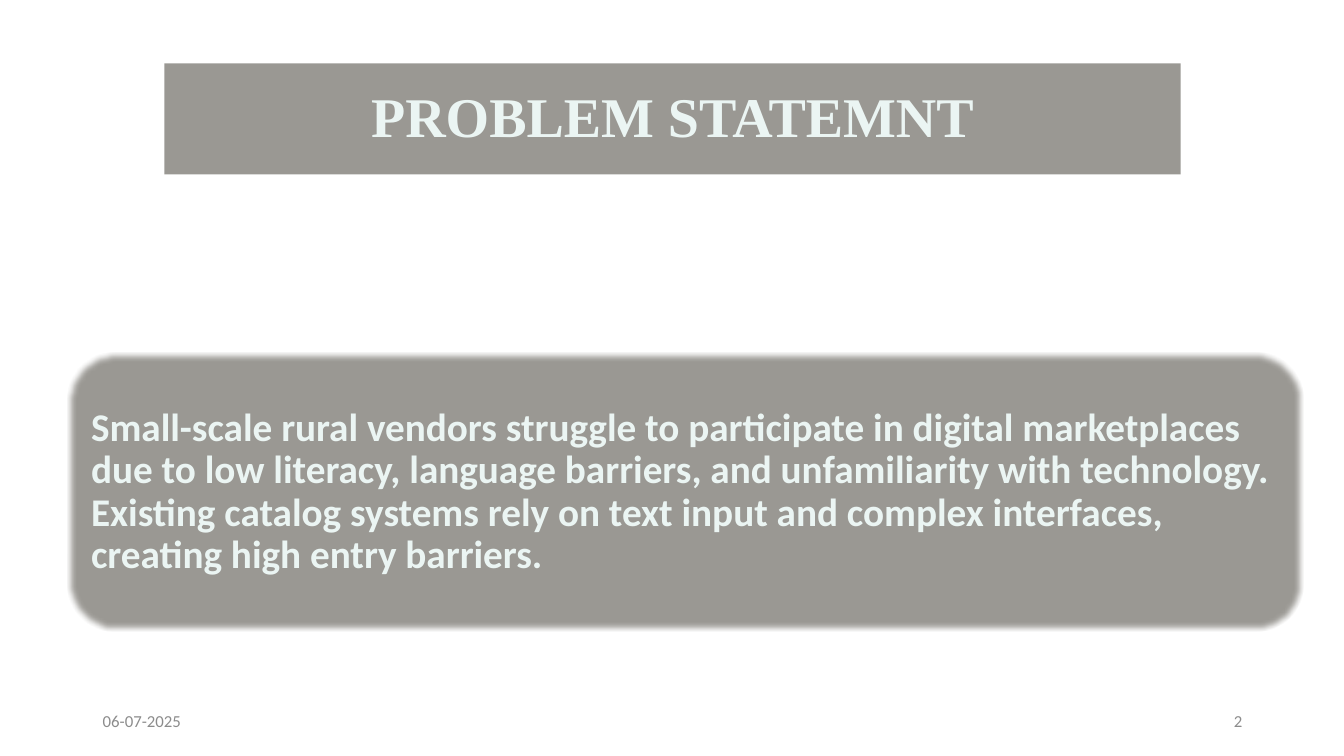
import pptx
import pptx.dml.color
import pptx.enum.shapes
import pptx.enum.text
import pptx.oxml.ns
import pptx.util
from lxml import etree

Inches = pptx.util.Inches
Pt = pptx.util.Pt
RGBColor = pptx.dml.color.RGBColor
MSO_SHAPE = pptx.enum.shapes.MSO_SHAPE
PP_ALIGN = pptx.enum.text.PP_ALIGN
qn = pptx.oxml.ns.qn

PANEL = RGBColor(0x37, 0x33, 0x29)
PALE = RGBColor(0xEB, 0xF5, 0xF3)
GREY = RGBColor(0x8C, 0x8C, 0x8C)


class SlideBuilder:
    """Holds the style and the current slide."""

    body_font = "Calibri"
    title_font = "Times New Roman"
    panel_alpha = "50000"

    def __init__(self, slide):
        self.slide = slide

    def set_text(self, shape, text, size, font, color, align, bold=False):
        frame = shape.text_frame
        frame.word_wrap = True
        frame.vertical_anchor = pptx.enum.text.MSO_ANCHOR.MIDDLE
        paragraph = frame.paragraphs[0]
        paragraph.text = text
        paragraph.alignment = align
        paragraph.font.size = Pt(size)
        paragraph.font.name = font
        paragraph.font.bold = bold
        paragraph.font.color.rgb = color
        return paragraph

    def footer(self, left, text, align):
        box = self.slide.shapes.add_textbox(
            Inches(left), Inches(6.95), Inches(3), Inches(0.4))
        self.set_text(box, text, 12, self.body_font, GREY, align)

    def panel(self, kind, box, text, size, font, align):
        shape = self.slide.shapes.add_shape(kind, *map(Inches, box))
        shape.shadow.inherit = False
        shape.line.fill.background()
        shape.fill.solid()
        shape.fill.fore_color.rgb = PANEL
        # Half-transparent fill
        color = shape._element.spPr.find(qn("a:solidFill")).find(qn("a:srgbClr"))
        etree.SubElement(color, qn("a:alpha"), val=self.panel_alpha)
        paragraph = self.set_text(shape, text, size, font, PALE, align, bold=True)
        paragraph.line_spacing = 0.9
        return shape

    def soften(self, shape, radius):
        effects = shape._element.spPr.find(qn("a:effectLst"))
        etree.SubElement(effects, qn("a:softEdge"), rad=str(int(radius)))


def main():
    deck = pptx.Presentation()
    deck.slide_width = Inches(13.33)
    deck.slide_height = Inches(7.5)
    builder = SlideBuilder(deck.slides.add_slide(deck.slide_layouts[6]))

    # Footer: date and slide number
    builder.footer(0.92, "06-07-2025", PP_ALIGN.LEFT)
    builder.footer(9.42, "2", PP_ALIGN.RIGHT)

    # Problem description
    problem = builder.panel(
        MSO_SHAPE.ROUNDED_RECTANGLE, (0.67, 3.5, 12.26, 2.77),
        "Small-scale rural vendors struggle to participate in digital "
        "marketplaces due to low literacy, language barriers, and "
        "unfamiliarity with technology. Existing catalog systems rely on "
        "text input and complex interfaces, creating high entry barriers.",
        28, builder.body_font, PP_ALIGN.LEFT)
    problem.text_frame.paragraphs[0].space_before = Pt(10)
    builder.soften(problem, Pt(5))

    # Title
    builder.panel(
        MSO_SHAPE.RECTANGLE, (1.63, 0.63, 10.08, 1.1),
        "PROBLEM STATEMNT", 40, builder.title_font, PP_ALIGN.CENTER)

    deck.save("out.pptx")


if __name__ == "__main__":
    main()
